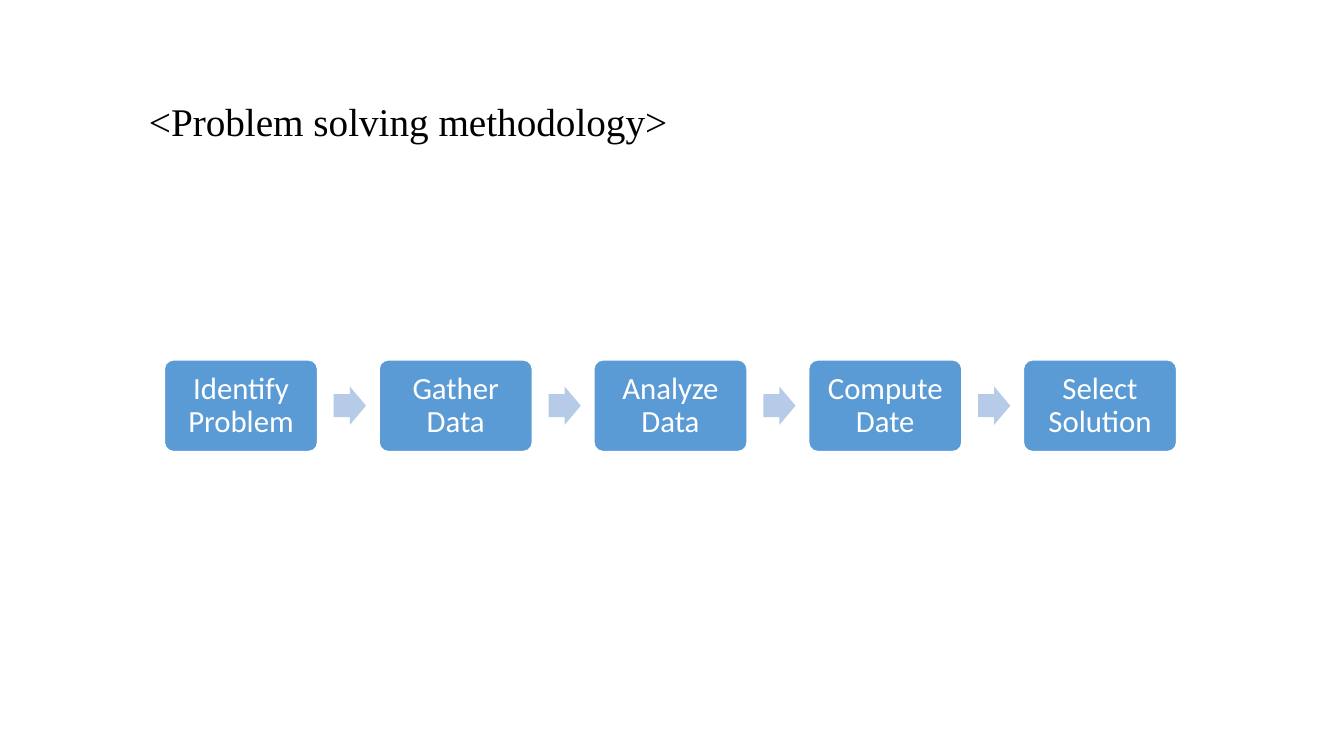
"""Build the problem solving methodology slide: a title above five steps joined by arrows."""
from pptx import Presentation
from pptx.dml.color import RGBColor
from pptx.enum.shapes import MSO_SHAPE as Shape
from pptx.enum.text import MSO_ANCHOR as Anchor, PP_ALIGN as Align
from pptx.util import Inches, Pt

BLACK = RGBColor(0x00, 0x00, 0x00)
WHITE = RGBColor(0xFF, 0xFF, 0xFF)
STEP_BLUE = RGBColor(0x5B, 0x9B, 0xD5)
ARROW_BLUE = RGBColor(0xB5, 0xCB, 0xE7)

STEPS = ["Identify Problem", "Gather Data", "Analyze Data", "Compute Date", "Select Solution"]
FIRST_LEFT, STEP_PITCH = 1.63, 2.13
STEP_TOP, STEP_WIDTH, STEP_HEIGHT = 3.57, 1.52, 0.91
ARROW_OFFSET, ARROW_WIDTH, ARROW_HEIGHT = 1.68, 0.32, 0.38
ARROW_TOP = STEP_TOP + (STEP_HEIGHT - ARROW_HEIGHT) / 2


def add_run(paragraph, text, font_name, size, color, bold=False):
    run = paragraph.add_run()
    run.text = text
    run.font.name = font_name
    run.font.size = Pt(size)
    run.font.bold = bold
    run.font.color.rgb = color


def add_filled_shape(slide, kind, left, top, width, height, color):
    shape = slide.shapes.add_shape(kind, Inches(left), Inches(top), Inches(width), Inches(height))
    shape.shadow.inherit = False
    shape.fill.solid()
    shape.fill.fore_color.rgb = color
    return shape


presentation = Presentation()
presentation.slide_width = Inches(13.33)
presentation.slide_height = Inches(7.5)
slide = presentation.slides.add_slide(presentation.slide_layouts[6])

title = slide.shapes.add_textbox(Inches(1.24), Inches(0.7), Inches(10.19), Inches(0.94))
title.text_frame.word_wrap = True
title.text_frame.vertical_anchor = Anchor.MIDDLE
title_paragraph = title.text_frame.paragraphs[0]
title_paragraph.line_spacing = 0.9
add_run(title_paragraph, " ", "Times New Roman", 40, BLACK, bold=True)
add_run(title_paragraph, "<Problem solving methodology>", "Times New Roman", 28, BLACK)

for index, label in enumerate(STEPS):
    left = FIRST_LEFT + index * STEP_PITCH
    step = add_filled_shape(slide, Shape.ROUNDED_RECTANGLE, left, STEP_TOP,
                            STEP_WIDTH, STEP_HEIGHT, STEP_BLUE)
    step.adjustments[0] = 0.1
    step.line.color.rgb = WHITE
    step.line.width = Pt(1)

    frame = step.text_frame
    frame.word_wrap = True
    frame.vertical_anchor = Anchor.MIDDLE
    frame.margin_left = frame.margin_right = Inches(0.09)
    frame.margin_top = frame.margin_bottom = Inches(0.09)
    paragraph = frame.paragraphs[0]
    paragraph.alignment = Align.CENTER
    paragraph.line_spacing = 0.9
    add_run(paragraph, label, "Calibri", 22, WHITE)

    if index < len(STEPS) - 1:
        arrow = add_filled_shape(slide, Shape.RIGHT_ARROW, left + ARROW_OFFSET, ARROW_TOP,
                                 ARROW_WIDTH, ARROW_HEIGHT, ARROW_BLUE)
        arrow.adjustments[0] = 0.6
        arrow.adjustments[1] = 0.5
        arrow.line.fill.background()

presentation.save("out.pptx")
